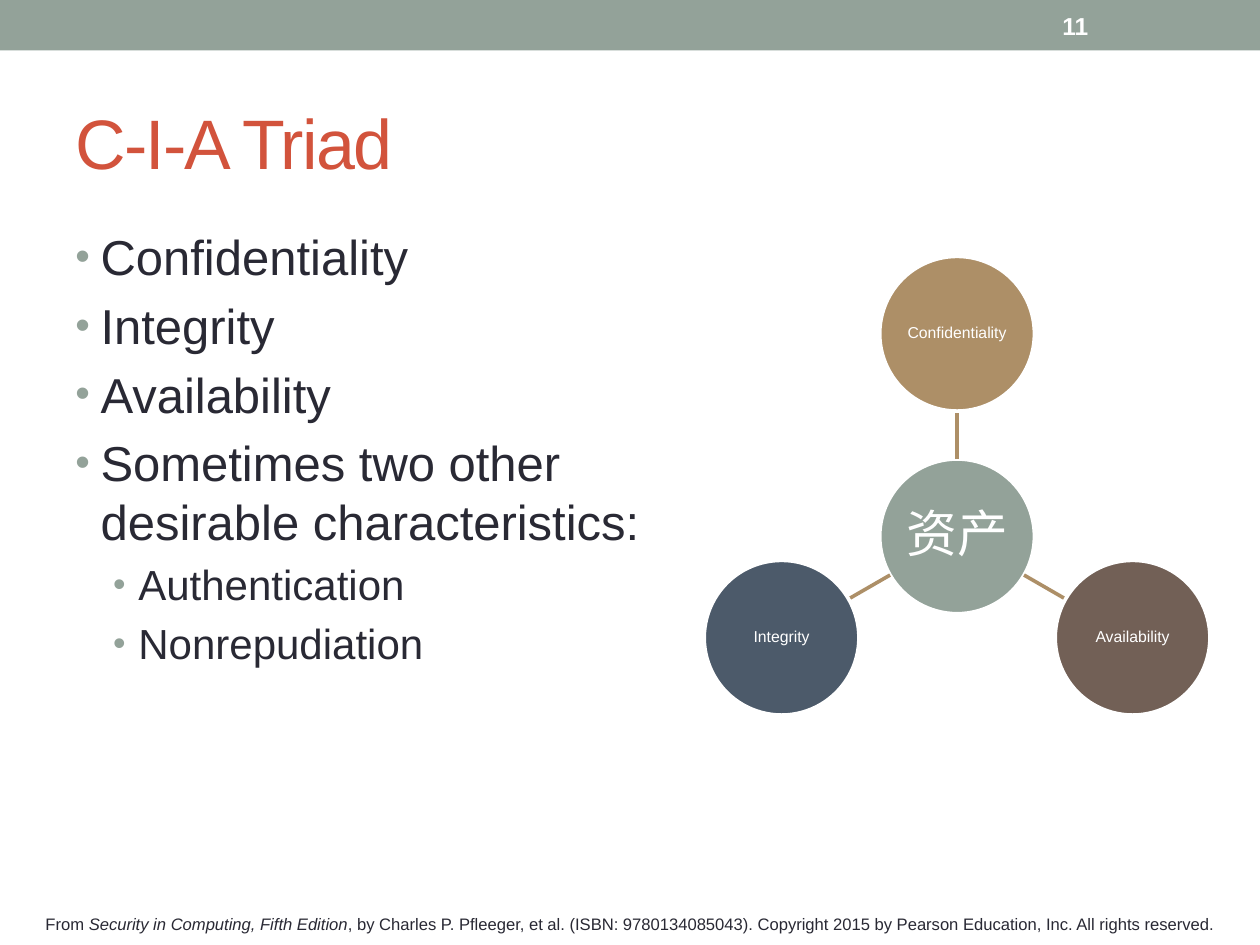
import math

import pptx
import pptx.dml.color
import pptx.enum.shapes
import pptx.enum.text
import pptx.oxml.ns
import pptx.util
from lxml import etree

Pt = pptx.util.Pt
SHAPES = pptx.enum.shapes.MSO_SHAPE
ALIGN = pptx.enum.text.PP_ALIGN
ANCHOR = pptx.enum.text.MSO_ANCHOR

FONT = "Arial"
SAGE, TAN, BROWN, SLATE = "93A299", "AD8F67", "726056", "4C5A6A"
WHITE, INK, RED = "FFFFFF", "292934", "D2533C"

TITLE = "C-I-A Triad"
PAGE_NUMBER = "11"
POINTS = [
    (0, "Confidentiality"),
    (0, "Integrity"),
    (0, "Availability"),
    (0, "Sometimes two other desirable characteristics:"),
    (1, "Authentication"),
    (1, "Nonrepudiation"),
]
LEVELS = [{"size": 28, "indent": 14.4}, {"size": 24, "indent": 36}]
SOURCE = [
    ("From ", False),
    ("Security in Computing, Fifth Edition", True),
    (", by Charles P. Pfleeger, et al. (ISBN: 9780134085043). "
     "Copyright 2015 by Pearson Education, Inc. All rights reserved.", False),
]
HUB = ("资产", SAGE, 29)
# label, fill, clockwise angle from the right
SATELLITES = [
    ("Confidentiality", TAN, -90),
    ("Availability", BROWN, 30),
    ("Integrity", SLATE, 150),
]
CENTER = (546.9, 306.5)
ORBIT = 115.8
DIAMETER = 88.4
LINE_WIDTH = 2.08


def color(value):
    return pptx.dml.color.RGBColor.from_string(value)


def set_font(font, size, value, bold=False):
    font.name, font.size, font.bold = FONT, Pt(size), bold
    font.color.rgb = color(value)


def add_box(page, left, top, width, height, anchor=ANCHOR.MIDDLE):
    box = page.shapes.add_textbox(Pt(left), Pt(top), Pt(width), Pt(height))
    box.text_frame.word_wrap = True
    box.text_frame.vertical_anchor = anchor
    return box.text_frame


def add_bullet(para, indent):
    properties = para._p.get_or_add_pPr()
    properties.set("marL", str(Pt(indent)))
    properties.set("indent", str(-Pt(14.4)))

    def add(parent, tag, **attributes):
        return etree.SubElement(parent, pptx.oxml.ns.qn(tag), attributes)

    add(add(properties, "a:buClr"), "a:srgbClr", val=SAGE)
    add(properties, "a:buSzPct", val="85000")
    add(properties, "a:buFont", typeface=FONT)
    add(properties, "a:buChar", char="•")


def add_points(page):
    frame = add_box(page, 36, 126, 358, 384, ANCHOR.TOP)
    for index, (level, text) in enumerate(POINTS):
        para = frame.add_paragraph() if index else frame.paragraphs[0]
        size, indent = LEVELS[level]["size"], LEVELS[level]["indent"]
        para.text = text
        para.level = level
        if index:
            para.space_before = Pt(size * 0.2)
        add_bullet(para, indent)
        set_font(para.font, size, INK)


def add_circle(page, x, y, label, fill, size):
    circle = page.shapes.add_shape(
        SHAPES.OVAL, Pt(x - DIAMETER / 2), Pt(y - DIAMETER / 2), Pt(DIAMETER), Pt(DIAMETER))
    circle.shadow.inherit = False
    circle.fill.solid()
    circle.fill.fore_color.rgb = color(fill)
    circle.line.color.rgb = color(WHITE)
    circle.line.width = Pt(LINE_WIDTH)
    frame = circle.text_frame
    frame.margin_left = frame.margin_right = frame.margin_top = frame.margin_bottom = Pt(1)
    frame.vertical_anchor = ANCHOR.MIDDLE
    frame.word_wrap = True
    para = frame.paragraphs[0]
    para.text = label
    para.alignment = ALIGN.CENTER
    para.line_spacing = 0.9
    set_font(para.font, size, WHITE)


def add_spoke(page, angle):
    """Join the rim of the hub to the rim of a satellite."""
    ends = []
    for distance in (DIAMETER / 2, ORBIT - DIAMETER / 2):
        ends.append(Pt(CENTER[0] + distance * math.cos(angle)))
        ends.append(Pt(CENTER[1] + distance * math.sin(angle)))
    spoke = page.shapes.add_connector(pptx.enum.shapes.MSO_CONNECTOR.STRAIGHT, *ends)
    spoke.line.color.rgb = color(TAN)
    spoke.line.width = Pt(LINE_WIDTH)
    etree.SubElement(spoke._element.spPr, pptx.oxml.ns.qn("a:effectLst"))


def add_triad(page):
    add_circle(page, *CENTER, *HUB)
    for label, fill, degrees in SATELLITES:
        angle = math.radians(degrees)
        add_spoke(page, angle)
        add_circle(page, CENTER[0] + ORBIT * math.cos(angle),
                   CENTER[1] + ORBIT * math.sin(angle), label, fill, 9)


def main():
    deck = pptx.Presentation()
    deck.slide_width, deck.slide_height = Pt(720), Pt(540)
    page = deck.slides.add_slide(deck.slide_layouts[6])

    band = page.shapes.add_shape(SHAPES.RECTANGLE, 0, 0, Pt(720), Pt(28.8))
    band.shadow.inherit = False
    band.fill.solid()
    band.fill.fore_color.rgb = color(SAGE)
    band.line.fill.background()

    title = add_box(page, 36, 42, 648, 78).paragraphs[0]
    span = title.add_run()
    span.text = TITLE
    set_font(span.font, 40, RED)
    span.font._element.set("spc", "-100")

    add_points(page)

    source = add_box(page, 0, 515, 720, 26).paragraphs[0]
    source.alignment = ALIGN.CENTER
    for text, italic in SOURCE:
        span = source.add_run()
        span.text = text
        span.font.italic = italic
    set_font(source.font, 9.5, INK)

    number = add_box(page, 600, 1.5, 84, 26).paragraphs[0]
    number.text = PAGE_NUMBER
    set_font(number.font, 14, WHITE, bold=True)

    add_triad(page)
    deck.save("out.pptx")


if __name__ == "__main__":
    main()
